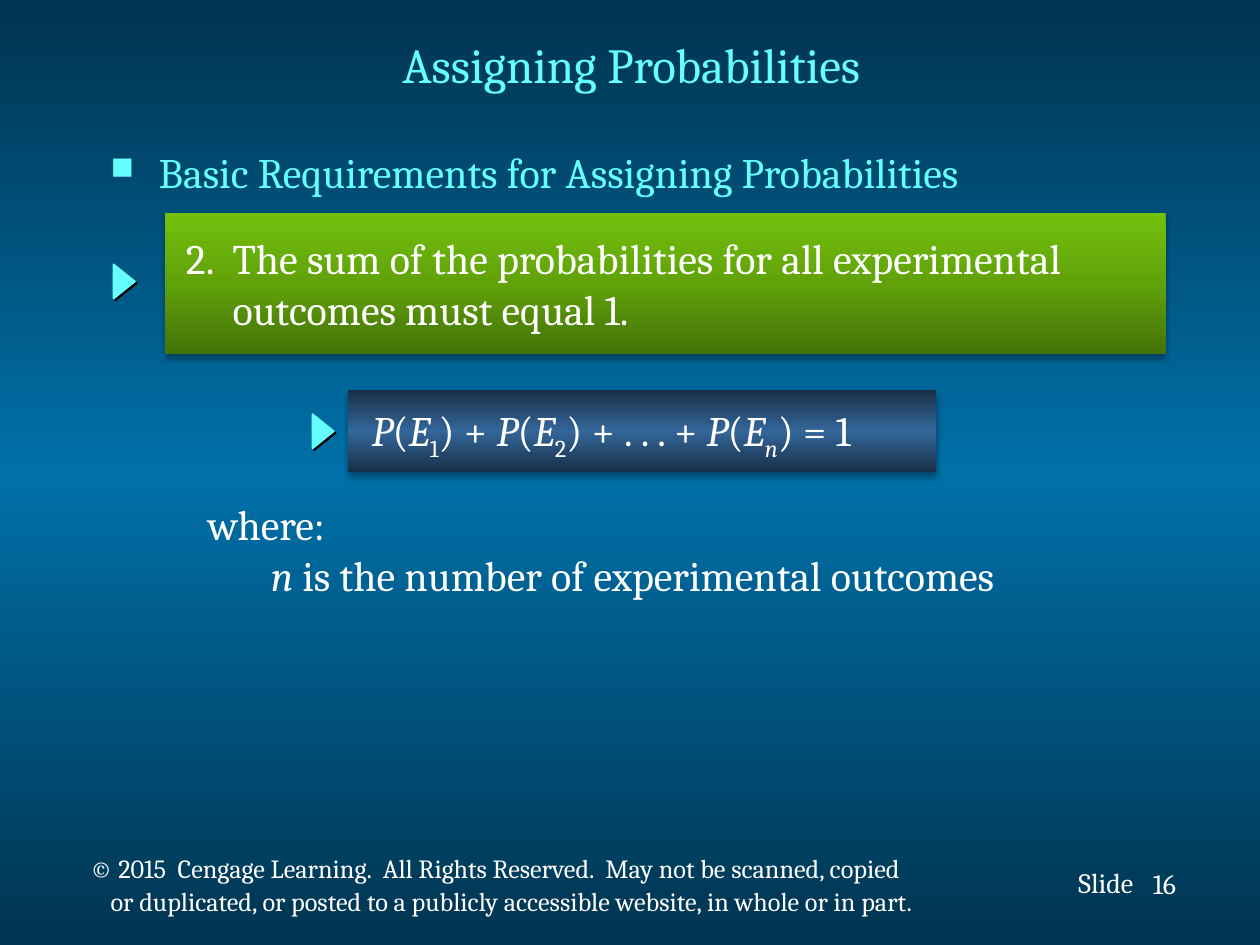
from dataclasses import dataclass

from lxml import etree
from pptx import Presentation
from pptx import util as u
from pptx.dml.color import RGBColor
from pptx.enum import shapes, text
from pptx.oxml import ns


@dataclass(frozen=True)
class Theme:
    font: str = "Cambria"
    title: int = 28
    body: int = 24
    number: int = 16
    footer: int = 15
    accent: str = "66FFFF"
    white: str = "FFFFFF"
    black: str = "000000"
    background: tuple = ("003450", "0070A8", "003450")
    rule: tuple = ("73C00C", "61A20A", "447207")
    formula: tuple = ("182F47", "336699", "182F47")


T = Theme()
CARD_SHADOW = dict(opacity=32, blur=3.5, dist=2.2, angle=90)
HARD_SHADOW = dict(opacity=100, blur=0, dist=1.4, angle=45)
TEXT_SHADOW = dict(opacity=60, blur=3, dist=2, angle=45)


def node(parent, tag, **attrs):
    return etree.SubElement(parent, ns.qn(tag), {k: str(v) for k, v in attrs.items()})


def gradient(parent, colors):
    grad = node(parent, "a:gradFill", rotWithShape=1)
    stops = node(grad, "a:gsLst")
    for i, color in enumerate(colors):
        stop = node(stops, "a:gs", pos=100000 * i // (len(colors) - 1))
        node(stop, "a:srgbClr", val=color)
    node(grad, "a:lin", ang=5400000, scaled=0)
    return grad


def shadow(parent, opacity, blur, dist, angle):
    effects = node(parent, "a:effectLst")
    outer = node(effects, "a:outerShdw", blurRad=u.Pt(blur), dist=u.Pt(dist),
                 dir=angle * 60000, algn="ctr", rotWithShape=0)
    color = node(outer, "a:srgbClr", val=T.black)
    node(color, "a:alpha", val=opacity * 1000)
    return effects


def set_background(s, colors):
    s.background.fill.solid()
    props = s.element.find(".//" + ns.qn("p:bgPr"))
    solid = props.find(ns.qn("a:solidFill"))
    props.replace(solid, gradient(props, colors))


def add_run(p, value, size, color, italic=False, base=0, glow=None):
    r = p.add_run()
    r.text = value
    r.font.size = u.Pt(size)
    r.font.italic = italic
    r.font.color.rgb = RGBColor.from_string(color)
    props = r.font._element
    if base:
        props.set("baseline", str(base * 1000))
    if glow:
        shadow(props, **glow)
    r.font.name = T.font


def write(tf, paragraphs, size=T.body, color=T.white, align=text.PP_ALIGN.LEFT,
          anchor=text.MSO_ANCHOR.TOP, hang=0, bullet=None, glow=None,
          line=None, before=0, indents=()):
    tf.word_wrap = True
    tf.vertical_anchor = anchor
    for i, runs in enumerate(paragraphs):
        p = tf.paragraphs[0] if i == 0 else tf.add_paragraph()
        p.alignment = align
        props = p._p.get_or_add_pPr()
        if line:
            p.line_spacing = u.Pt(line)
        if before and i:
            p.space_before = u.Pt(before)
        if indents:
            props.set("marL", str(u.Cm(indents[i])))
        if bullet:
            props.set("marL", str(u.Cm(hang)))
            props.set("indent", str(-u.Cm(hang)))
            if bullet == "■":
                node(props, "a:buSzPct", val=75000)
                node(props, "a:buChar", char=bullet)
            else:
                node(props, "a:buAutoNum", type="arabicPeriod", startAt=bullet)
        for run in [(runs, {})] if isinstance(runs, str) else runs:
            add_run(p, run[0], size, color, glow=glow, **run[1])


def add_text(parent, box, paragraphs, **style):
    sp = parent.add_textbox(*map(u.Cm, box))
    write(sp.text_frame, paragraphs, **style)
    return sp


def add_card(parent, box, colors):
    sp = parent.add_shape(shapes.MSO_SHAPE.RECTANGLE, *map(u.Cm, box))
    sp.line.fill.background()
    sp.fill.solid()
    props = sp._element.spPr
    props.replace(props.find(ns.qn("a:solidFill")), gradient(props, colors))
    shadow(props, **CARD_SHADOW)
    return sp


def add_marker(s, left, top):
    sp = s.shapes.add_shape(shapes.MSO_SHAPE.ISOSCELES_TRIANGLE,
                            u.Cm(left), u.Cm(top), u.Cm(0.69), u.Cm(0.43))
    sp.rotation = 90
    sp.fill.solid()
    sp.fill.fore_color.rgb = RGBColor.from_string(T.accent)
    sp.line.color.rgb = RGBColor.from_string(T.accent)
    sp.line.width = u.Pt(1)
    shadow(sp._element.spPr, **HARD_SHADOW)


def probability(index, italic=False):
    return [("P", dict(italic=True)), ("(", {}), ("E", dict(italic=True)),
            (index, dict(italic=italic, base=-25))]


def add_formula(s):
    group = s.shapes.add_group_shape().shapes
    add_card(group, (7.01, 7.87, 11.86, 1.65), T.formula)
    runs = [*probability("1"), (") + ", {}), *probability("2"), (") + . . . + ", {}),
            *probability("n", italic=True), (") = 1", {})]
    add_text(group, (7.24, 8.03, 11.4, 1.27), [runs], glow=TEXT_SHADOW)


def add_footer(s):
    add_text(s.shapes, (22.99, 17.35, 1.5, 0.94), ["16"], size=T.number, glow=HARD_SHADOW)
    add_text(s.shapes, (21.49, 17.33, 2.31, 0.94), ["Slide"], size=T.number, glow=HARD_SHADOW)
    add_text(s.shapes, (1.57, 17.12, 18.97, 1.52), [
        "© 2015  Cengage Learning.  All Rights Reserved.  May not be scanned, copied",
        "or duplicated, or posted to a publicly accessible website, in whole or in part.",
    ], size=T.footer, line=16, before=3, indents=(0, 0.41))


def main():
    prs = Presentation()
    prs.slide_width, prs.slide_height = u.Cm(25.4), u.Cm(19.05)
    s = prs.slides.add_slide(prs.slide_layouts[6])
    set_background(s, T.background)
    add_footer(s)

    middle = text.MSO_ANCHOR.MIDDLE
    add_text(s.shapes, (1.93, 0.15, 21.59, 2.26), ["Assigning Probabilities"],
             size=T.title, color=T.accent, align=text.PP_ALIGN.CENTER, anchor=middle)
    add_text(s.shapes, (1.98, 2.46, 19.84, 2.01),
             ["Basic Requirements for Assigning Probabilities"],
             color=T.accent, anchor=middle, bullet="■", hang=0.97)

    rule = add_card(s.shapes, (3.33, 4.29, 20.17, 2.84), T.rule)
    rule.text_frame.margin_left = u.Cm(0.42)
    write(rule.text_frame,
          ["The sum of the probabilities for all experimental outcomes must equal 1."],
          anchor=middle, bullet=2, hang=0.94)

    add_marker(s, 2.16, 5.46)
    add_marker(s, 6.17, 8.48)
    add_formula(s)
    add_text(s.shapes, (3.94, 9.93, 17.55, 3.3), [
        "where:",
        [("\tn", dict(italic=True)), (" is the number of experimental outcomes", {})],
    ])
    prs.save("out.pptx")


if __name__ == "__main__":
    main()
